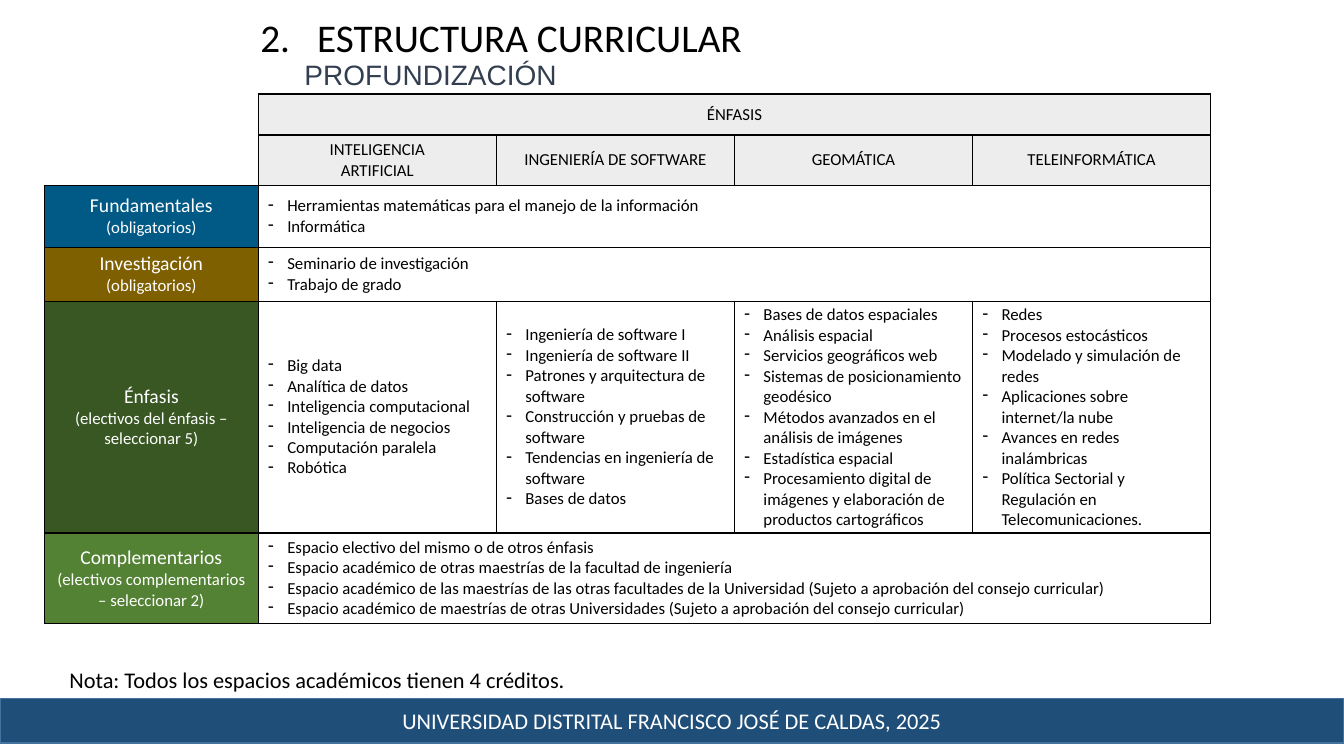
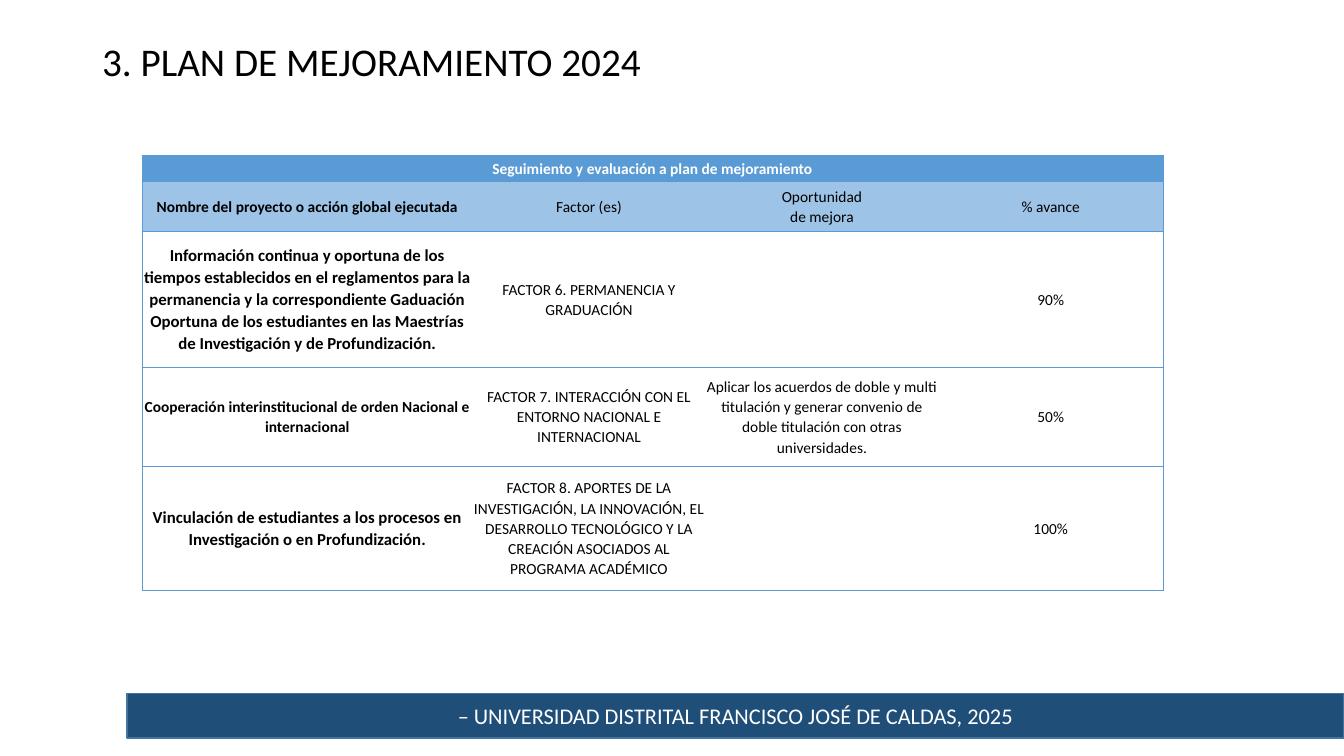
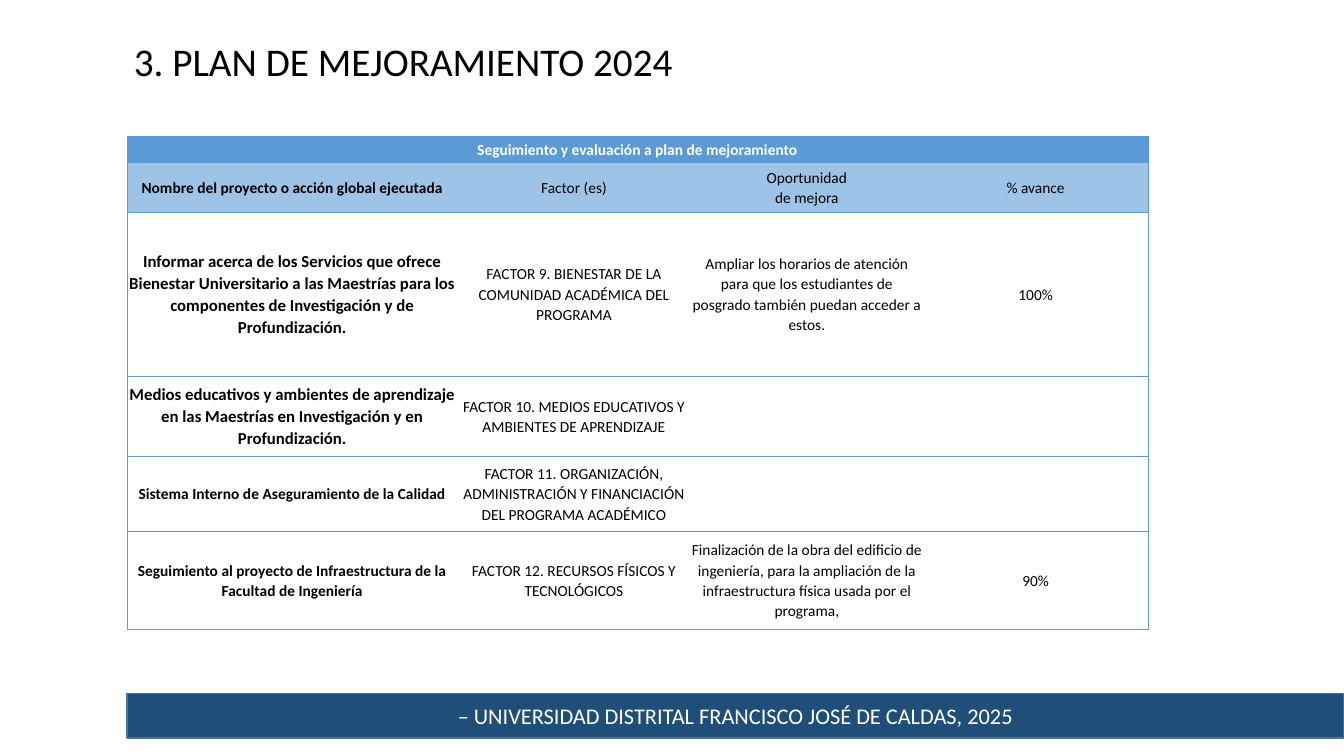
from lxml.etree import SubElement
from pptx import Presentation
from pptx.dml.color import RGBColor
from pptx.enum.shapes import MSO_SHAPE
from pptx.enum.text import MSO_ANCHOR, PP_ALIGN
from pptx.oxml.ns import qn
from pptx.util import Cm, Pt

BLACK, WHITE = "000000", "FFFFFF"
BAND_FILL, BAND_LINE = "1F4E79", "43739E"
SUBTITLE = "333F50"
GRAY = "EDEDED"
BLUE, LIGHT_BLUE = "5B9BD5", "9DC3E6"
SLIDE_WIDTH, SLIDE_HEIGHT = 33.87, 19.05
BAND_HEIGHT = 1.12

UNIVERSITY = "UNIVERSIDAD DISTRITAL FRANCISCO JOSÉ DE CALDAS, 2025"

EMPHASES = ["INTELIGENCIA\nARTIFICIAL", "INGENIERÍA DE SOFTWARE", "GEOMÁTICA", "TELEINFORMÁTICA"]
# Name, note, fill and the lists of courses; a single list spans all emphases
COMPONENTS = [
    ("Fundamentales", "(obligatorios)", "015A86", [
        ["Herramientas matemáticas para el manejo de la información", "Informática"]]),
    ("Investigación", "(obligatorios)", "7F6000", [
        ["Seminario de investigación", "Trabajo de grado"]]),
    ("Énfasis", "(electivos del énfasis – seleccionar 5)", "385723", [
        ["Big data", "Analítica de datos", "Inteligencia computacional",
         "Inteligencia de negocios", "Computación paralela", "Robótica"],
        ["Ingeniería de software I", "Ingeniería de software II",
         "Patrones y arquitectura de software", "Construcción y pruebas de software",
         "Tendencias en ingeniería de software", "Bases de datos"],
        ["Bases de datos espaciales", "Análisis espacial", "Servicios geográficos web",
         "Sistemas de posicionamiento geodésico",
         "Métodos avanzados en el análisis de imágenes", "Estadística espacial",
         "Procesamiento digital de imágenes y elaboración de productos cartográficos"],
        ["Redes", "Procesos estocásticos", "Modelado y simulación de redes",
         "Aplicaciones sobre internet/la nube", "Avances en redes inalámbricas",
         "Política Sectorial y Regulación en Telecomunicaciones."]]),
    ("Complementarios", "(electivos complementarios – seleccionar 2)", "548235", [
        ["Espacio electivo del mismo o de otros énfasis",
         "Espacio académico de otras maestrías de la facultad de ingeniería",
         "Espacio académico de las maestrías de las otras facultades de la Universidad "
         "(Sujeto a aprobación del consejo curricular)",
         "Espacio académico de maestrías de otras Universidades "
         "(Sujeto a aprobación del consejo curricular)"]]),
]
CURRICULUM_COLUMNS = [5.39] + [6] * 4
CURRICULUM_ROWS = [1.03, 1.27, 1.56, 1.36, 5.84, 2.28]

PLAN_TITLE = "3. PLAN DE MEJORAMIENTO 2024"
PLAN_HEADING = "Seguimiento y evaluación a plan de mejoramiento"
PLAN_COLUMNS = ["Nombre del proyecto o acción global ejecutada", "Factor (es)",
                "Oportunidad\nde mejora", "% avance"]
PLAN_WIDTHS = [8.33, 5.87, 5.87, 5.66]
PLAN_HEADER_ROWS = [0.67, 1.25]
# Each row: height, size of the project name, and the four texts
PLANS = [
    {"title_width": 16.64, "left": 3.58, "top": 3.91, "rows": [
        (3.42, 12, "Información continua y oportuna de los tiempos establecidos en el reglamentos "
         "para la permanencia y la correspondiente Gaduación Oportuna de los estudiantes en las "
         "Maestrías de Investigación y de Profundización.",
         "FACTOR 6. PERMANENCIA Y GRADUACIÓN", "", "90%"),
        (2.5, 11, "Cooperación interinstitucional de orden Nacional e internacional",
         "FACTOR 7. INTERACCIÓN CON EL ENTORNO NACIONAL E INTERNACIONAL",
         "Aplicar los acuerdos de doble y multi titulación y generar convenio de doble "
         "titulación con otras universidades.", "50%"),
        (3.13, 12, "Vinculación de estudiantes a los procesos en Investigación o en Profundización.",
         "FACTOR 8. APORTES DE LA INVESTIGACIÓN, LA INNOVACIÓN, EL DESARROLLO TECNOLÓGICO Y LA "
         "CREACIÓN ASOCIADOS AL PROGRAMA ACADÉMICO", "", "100%")]},
    {"title_width": 18.24, "left": 3.2, "top": 3.43, "rows": [
        (4.12, 12, "Informar acerca de los Servicios que ofrece Bienestar Universitario a las "
         "Maestrías para los componentes de Investigación y de Profundización.",
         "FACTOR 9. BIENESTAR DE LA COMUNIDAD ACADÉMICA DEL PROGRAMA",
         "Ampliar los horarios de atención para que los estudiantes de posgrado también puedan "
         "acceder a estos.", "100%"),
        (2.04, 12, "Medios educativos y ambientes de aprendizaje en las Maestrías en Investigación "
         "y en Profundización.",
         "FACTOR 10. MEDIOS EDUCATIVOS Y AMBIENTES DE APRENDIZAJE", "", ""),
        (1.87, 11, "Sistema Interno de Aseguramiento de la Calidad",
         "FACTOR 11. ORGANIZACIÓN, ADMINISTRACIÓN Y FINANCIACIÓN DEL PROGRAMA ACADÉMICO", "", ""),
        (2.49, 11, "Seguimiento al proyecto de Infraestructura de la Facultad de Ingeniería",
         "FACTOR 12. RECURSOS FÍSICOS Y TECNOLÓGICOS",
         "Finalización de la obra del edificio de ingeniería, para la ampliación de la "
         "infraestructura física usada por el programa,", "90%")]},
]


def rgb(color):
    return RGBColor.from_string(color)


def set_bullet(paragraph, indent, tag, **attributes):
    properties = paragraph._p.get_or_add_pPr()
    properties.set("marL", str(Cm(indent)))
    properties.set("indent", str(-Cm(indent)))
    SubElement(properties, qn(tag), attributes)


def write(paragraph, text, size, color=BLACK, bold=False, font="Calibri",
          align=PP_ALIGN.CENTER, spacing=None):
    """Fill a paragraph; a newline in the text becomes a line break."""
    paragraph.alignment = align
    paragraph.line_spacing = spacing
    for number, line in enumerate(text.split("\n")):
        if number:
            paragraph.add_line_break()
        run = paragraph.add_run()
        run.text = line
        run.font.size = Pt(size)
        run.font.name = font
        run.font.bold = bold
        run.font.color.rgb = rgb(color)


def next_paragraph(frame, number):
    return frame.add_paragraph() if number else frame.paragraphs[0]


def add_text(slide, left, top, width, height, text, size, **style):
    frame = slide.shapes.add_textbox(Cm(left), Cm(top), Cm(width), Cm(height)).text_frame
    frame.word_wrap = True
    write(frame.paragraphs[0], text, size, **style)
    return frame.paragraphs[0]


def add_band(slide, left, top, text):
    """Draw the footer band from left to the right edge of the slide."""
    band = slide.shapes.add_shape(MSO_SHAPE.RECTANGLE, Cm(left), Cm(top),
                                  Cm(SLIDE_WIDTH - left), Cm(BAND_HEIGHT))
    band.shadow.inherit = False
    band.fill.solid()
    band.fill.fore_color.rgb = rgb(BAND_FILL)
    band.line.color.rgb = rgb(BAND_LINE)
    band.line.width = Pt(1)
    band.text_frame.vertical_anchor = MSO_ANCHOR.MIDDLE
    write(band.text_frame.paragraphs[0], text, 16, WHITE)


def add_table(slide, left, top, widths, heights):
    table = slide.shapes.add_table(len(heights), len(widths), Cm(left), Cm(top),
                                   Cm(sum(widths)), Cm(sum(heights))).table
    table.first_row = table.horz_banding = False
    for column, width in zip(table.columns, widths):
        column.width = Cm(width)
    for row, height in zip(table.rows, heights):
        row.height = Cm(height)
    return table


def format_cell(cell, edges, color, width, fill=None, margins=(0, 0)):
    """Draw the named edges (letters of LRTB), then set fill, margins and anchor."""
    properties = cell._tc.get_or_add_tcPr()
    for side in "LRTB":
        line = SubElement(properties, qn("a:ln" + side), w=str(Pt(width)))
        if side in edges:
            SubElement(SubElement(line, qn("a:solidFill")), qn("a:srgbClr"), val=color)
        else:
            SubElement(line, qn("a:noFill"))
    if fill:
        cell.fill.solid()
        cell.fill.fore_color.rgb = rgb(fill)
    else:
        cell.fill.background()
    cell.margin_left = cell.margin_right = Cm(margins[0])
    cell.margin_top = cell.margin_bottom = Cm(margins[1])
    cell.vertical_anchor = MSO_ANCHOR.MIDDLE


def build_curriculum(slide):
    title = add_text(slide, 1.73, 0.2, 21.79, 1.45, "ESTRUCTURA CURRICULAR", 28)
    set_bullet(title, 1.43, "a:buAutoNum", type="arabicPeriod", startAt="2")
    add_text(slide, 4.57, 1.32, 12.57, 1.12, "PROFUNDIZACIÓN", 20, color=SUBTITLE, font="Arial")
    add_band(slide, 0, 17.6, UNIVERSITY)
    add_text(slide, 1.5, 16.66, 29.62, 0.94,
             "Nota: Todos los espacios académicos tienen 4 créditos.", 16, align=PP_ALIGN.LEFT)

    table = add_table(slide, 1.12, 2.37, CURRICULUM_COLUMNS, CURRICULUM_ROWS)
    fills = {(0, 1): GRAY}
    table.cell(0, 1).merge(table.cell(0, 4))
    write(table.cell(0, 1).text_frame.paragraphs[0], "ÉNFASIS", 12)
    for column, emphasis in enumerate(EMPHASES, 1):
        fills[1, column] = GRAY
        write(table.cell(1, column).text_frame.paragraphs[0], emphasis, 12)
    for row, (name, note, fill, course_lists) in enumerate(COMPONENTS, 2):
        fills[row, 0] = fill
        frame = table.cell(row, 0).text_frame
        write(frame.paragraphs[0], name, 14, WHITE)
        write(frame.add_paragraph(), note, 12, WHITE)
        if len(course_lists) == 1:
            table.cell(row, 1).merge(table.cell(row, 4))
        for column, courses in enumerate(course_lists, 1):
            frame = table.cell(row, column).text_frame
            for number, course in enumerate(courses):
                paragraph = next_paragraph(frame, number)
                set_bullet(paragraph, 0.48, "a:buChar", char="-")
                write(paragraph, course, 12, align=PP_ALIGN.LEFT)
    for row in range(len(CURRICULUM_ROWS)):
        for column in range(len(CURRICULUM_COLUMNS)):
            cell = table.cell(row, column)
            edges = "LRTB"
            if column == 0 and row < 2:
                edges = "RB" if row else "R"
            elif cell.is_spanned:
                edges = "RTB" if column == 4 else "TB"
            format_cell(cell, edges, BLACK, 1, fills.get((row, column)), (0.25, 0.09))


def build_plan(slide, plan):
    add_band(slide, 3.2, 17.48, "– " + UNIVERSITY)
    add_text(slide, 1.04, 0.81, plan["title_width"], 1.45, PLAN_TITLE, 28)
    heights = PLAN_HEADER_ROWS + [row[0] for row in plan["rows"]]
    table = add_table(slide, plan["left"], plan["top"], PLAN_WIDTHS, heights)
    table.cell(0, 0).merge(table.cell(0, 3))
    texts = [[PLAN_HEADING, "", "", ""], PLAN_COLUMNS] + [row[2:] for row in plan["rows"]]
    name_sizes = [11, 11] + [row[1] for row in plan["rows"]]
    for row, row_texts in enumerate(texts):
        for column, text in enumerate(row_texts):
            cell = table.cell(row, column)
            edges = "T" if row == 0 else "B" if row == 1 else "TB"
            edges += "L" if column == 0 else ""
            edges += "R" if column == 3 or cell.is_merge_origin else ""
            fill = {0: BLUE, 1: LIGHT_BLUE}.get(row)
            format_cell(cell, edges, BLUE, 0.5, fill)
            if text:
                write(cell.text_frame.paragraphs[0], text,
                      11 if column else name_sizes[row],
                      BLACK if row else WHITE, bold=column == 0, spacing=1.07)


def main():
    presentation = Presentation()
    presentation.slide_width = Cm(SLIDE_WIDTH)
    presentation.slide_height = Cm(SLIDE_HEIGHT)
    blank = presentation.slide_layouts[6]
    build_curriculum(presentation.slides.add_slide(blank))
    for plan in PLANS:
        build_plan(presentation.slides.add_slide(blank), plan)
    presentation.save("out.pptx")


if __name__ == "__main__":
    main()
